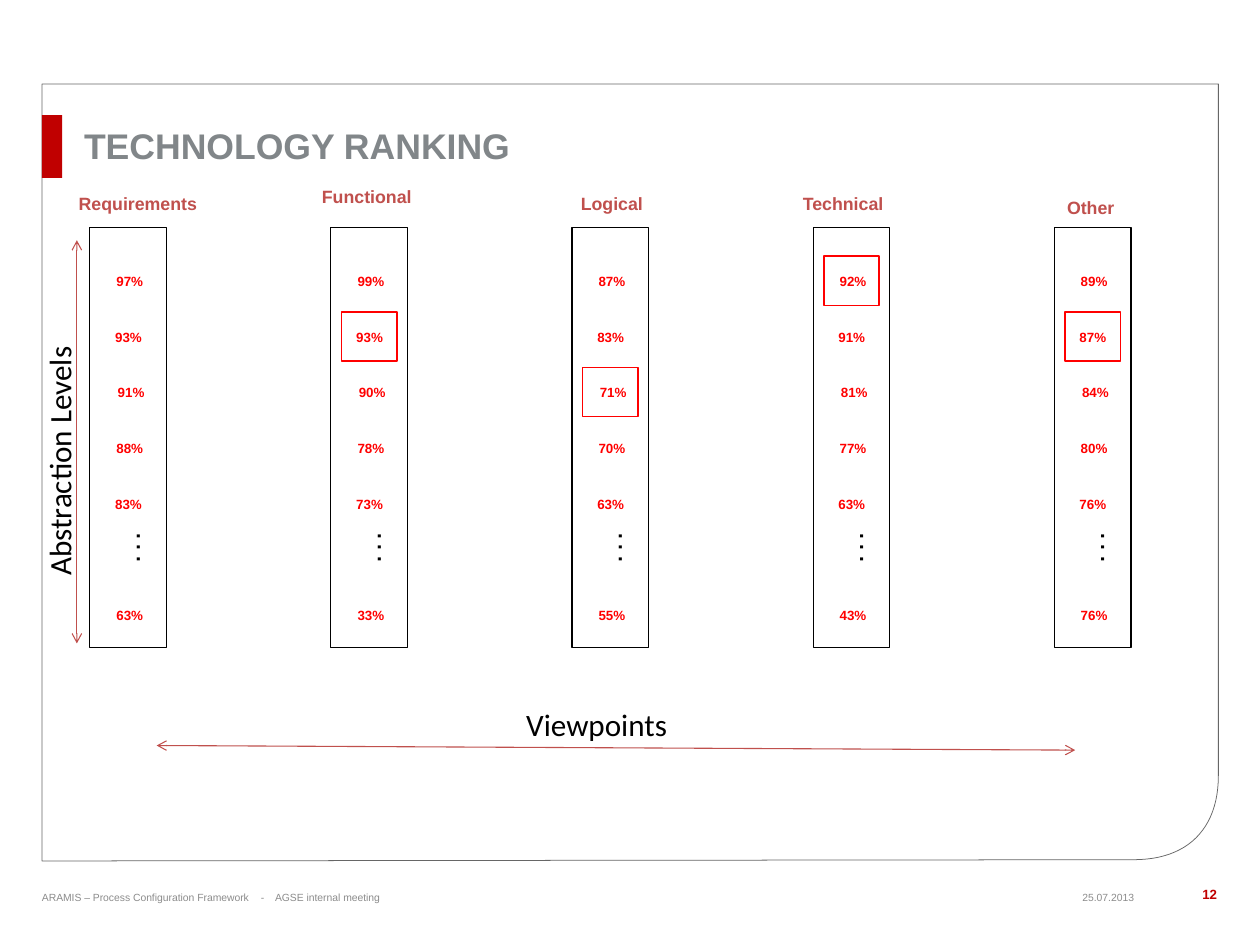
from lxml.etree import SubElement
from pptx import Presentation
from pptx.dml.color import RGBColor
from pptx.enum.shapes import MSO_CONNECTOR as Connector, MSO_SHAPE as Shape
from pptx.enum.text import MSO_ANCHOR as Anchor, PP_ALIGN as Align
from pptx.oxml.ns import qn
from pptx.util import Cm, Pt

TITLE = "TECHNOLOGY RANKING"
VIEWPOINTS = [
    {"name": "Requirements", "label": (1.57, 4.47, 3.43), "chosen": None,
     "scores": ["97%", "93%", "91%", "88%", "83%", "63%"]},
    {"name": "Functional", "label": (7.26, 4.29, 2.95), "chosen": 1,
     "scores": ["99%", "93%", "90%", "78%", "73%", "33%"]},
    {"name": "Logical", "label": (13.49, 4.47, 2.16), "chosen": 2,
     "scores": ["87%", "83%", "71%", "70%", "63%", "55%"]},
    {"name": "Technical", "label": (18.69, 4.47, 2.77), "chosen": 0,
     "scores": ["92%", "91%", "81%", "77%", "63%", "43%"]},
    {"name": "Other", "label": (25.12, 4.57, 1.7), "chosen": 1,
     "scores": ["89%", "87%", "84%", "80%", "76%", "76%"]},
]
AXES = [
    {"name": "Viewpoints", "box": (7.26, 16.66, 13.89, 1.14), "turn": 0,
     "arrow": (3.73, 17.75, 25.6, 17.86)},
    {"name": "Abstraction Levels", "box": (-5.54, 10.41, 13.89, 1.14), "turn": 270,
     "arrow": (1.83, 15.32, 1.83, 5.72)},
]
FOOTER = "ARAMIS – Process Configuration Framework\t-\tAGSE internal meeting"
FOOTER_TABS = (5.21, 5.55)
DATE = "25.07.2013"
PAGE = "12"

BAR_LEFT, BAR_TOP, BAR_PITCH = 2.14, 5.41, 5.74
BAR_WIDTH, BAR_HEIGHT = 1.83, 10
SCORE_TOP, SCORE_PITCH = 6.38, 1.325
SCORE_ROWS = (0, 1, 2, 3, 4, 6)
SCORE_SHIFTS = (0.01, -0.02, 0.04, 0.01, -0.02, 0.01)
MARK_WIDTH, MARK_HEIGHT = 1.32, 1.17

TITLE_FONT = {"name": "Arial", "size": Pt(24), "bold": True, "color": "818689"}
LABEL_FONT = {"name": "Arial", "size": Pt(12), "bold": True, "color": "C0504D"}
SCORE_FONT = {"name": "Arial", "size": Pt(9), "bold": True, "color": "FF0000"}
DOTS_FONT = {"name": "Arial", "size": Pt(14), "bold": True, "color": "000000"}
AXIS_FONT = {"name": "Calibri", "size": Pt(21), "bold": False, "color": "000000"}
FOOTER_FONT = {"name": "Arial", "size": Pt(7), "bold": False, "color": "8C8C8C"}
PAGE_FONT = {"name": "Arial", "size": Pt(9), "bold": True, "color": "C00000"}
NO_MARGINS = {"margin_left": 0, "margin_top": 0, "margin_right": 0, "margin_bottom": 0}
MIDDLE = {**NO_MARGINS, "vertical_anchor": Anchor.MIDDLE}


def rgb(code):
    return RGBColor.from_string(code)


def apply(target, values):
    for key, value in values.items():
        if key == "color":
            target.color.rgb = rgb(value)
        else:
            setattr(target, key, value)


def write(shape, text, font, align=Align.CENTER, frame=None):
    apply(shape.text_frame, {"word_wrap": True, **(frame or {})})
    paragraph = shape.text_frame.paragraphs[0]
    paragraph.alignment = align
    run = paragraph.add_run()
    run.text = text
    apply(run.font, font)
    return paragraph


def add_text(slide, box, text, font, align=Align.CENTER, frame=None, turn=0):
    shape = slide.shapes.add_textbox(*map(Cm, box))
    shape.rotation = turn
    return write(shape, text, font, align, frame)


def outline(shape, color, width):
    shape.shadow.inherit = False
    shape.fill.background()
    apply(shape.line, {"color": color, "width": Pt(width)})


def add_box(slide, box, color, width):
    outline(slide.shapes.add_shape(Shape.RECTANGLE, *map(Cm, box)), color, width)


def add_arrow(slide, ends):
    arrow = slide.shapes.add_connector(Connector.STRAIGHT, *map(Cm, ends))
    apply(arrow.line, {"color": "C0504D", "width": Pt(0.75)})
    line = arrow.line._get_or_add_ln()
    for end in ("a:headEnd", "a:tailEnd"):
        SubElement(line, qn(end), type="arrow")
    SubElement(arrow._element.spPr, qn("a:effectLst"))


def curve(points, steps=24):
    for step in range(1, steps + 1):
        t = step / steps
        weights = ((1 - t) ** 3, 3 * t * (1 - t) ** 2, 3 * t * t * (1 - t), t ** 3)
        yield tuple(Cm(sum(w * p[axis] for w, p in zip(weights, points))) for axis in (0, 1))


def add_page_frame(slide):
    corner = [(27, 20.47), (28.27, 20.47), (29.01, 19.74), (29.01, 18.47)]
    builder = slide.shapes.build_freeform(Cm(1), Cm(20.5))
    builder.add_line_segments(
        [(Cm(27), Cm(20.47)), *curve(corner), (Cm(29.01), Cm(2)), (Cm(1), Cm(2))], close=True)
    outline(builder.convert_to_shape(), "666666", 0.5)
    accent = slide.shapes.add_shape(Shape.RECTANGLE, Cm(1), Cm(2.74), Cm(0.48), Cm(1.5))
    accent.shadow.inherit = False
    accent.fill.solid()
    accent.fill.fore_color.rgb = rgb("C00000")
    accent.line.fill.background()


def add_footer(slide):
    footer = add_text(slide, (1, 21.21, 24.4, 0.3), FOOTER, FOOTER_FONT, Align.LEFT, NO_MARGINS)
    tabs = SubElement(footer._p.get_or_add_pPr(), qn("a:tabLst"))
    for stop in FOOTER_TABS:
        SubElement(tabs, qn("a:tab"), pos=str(Cm(stop)), algn="l")
    add_text(slide, (25.5, 21.21, 1.5, 0.3), DATE, FOOTER_FONT, Align.RIGHT, MIDDLE)
    add_text(slide, (27.3, 21.11, 1.68, 0.38), PAGE, PAGE_FONT, Align.RIGHT, MIDDLE)


def add_viewpoint(slide, index, viewpoint):
    left = BAR_LEFT + index * BAR_PITCH
    add_box(slide, (left, BAR_TOP, BAR_WIDTH, BAR_HEIGHT), "000000", 0.75)
    add_text(slide, (*viewpoint["label"], 0.76), viewpoint["name"], LABEL_FONT)
    for score, row, shift in zip(viewpoint["scores"], SCORE_ROWS, SCORE_SHIFTS):
        top = SCORE_TOP + row * SCORE_PITCH
        add_text(slide, (left + shift, top, 1.88, 0.91), score, SCORE_FONT)
        if row == viewpoint["chosen"]:
            mark_left = left + (BAR_WIDTH - MARK_WIDTH) / 2
            add_box(slide, (mark_left, top - 0.28, MARK_WIDTH, MARK_HEIGHT), "FF0000", 1)
    add_text(slide, (left + 0.26, 12.7, 1.73, 1.22), ". . .", DOTS_FONT, Align.LEFT, turn=90)


def main():
    deck = Presentation()
    apply(deck, {"slide_width": Cm(30), "slide_height": Cm(22.5)})
    slide = deck.slides.add_slide(deck.slide_layouts[5])
    title = slide.shapes.title
    apply(title, {"left": Cm(2), "top": Cm(2.26), "width": Cm(26), "height": Cm(2.39)})
    write(title, TITLE, TITLE_FONT, Align.LEFT, MIDDLE)
    add_page_frame(slide)
    add_footer(slide)
    for index, viewpoint in enumerate(VIEWPOINTS):
        add_viewpoint(slide, index, viewpoint)
    for axis in AXES:
        add_arrow(slide, axis["arrow"])
        add_text(slide, axis["box"], axis["name"], AXIS_FONT, turn=axis["turn"])
    deck.save("out.pptx")


if __name__ == "__main__":
    main()
